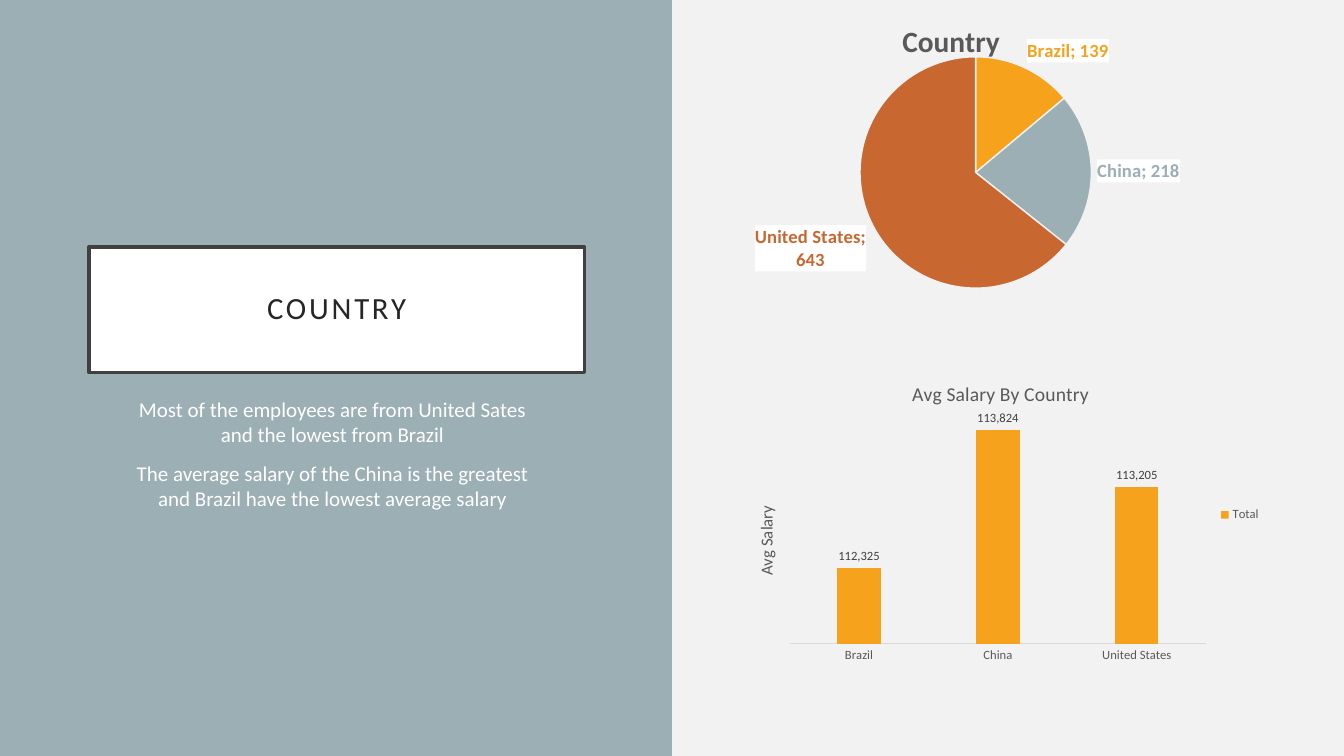
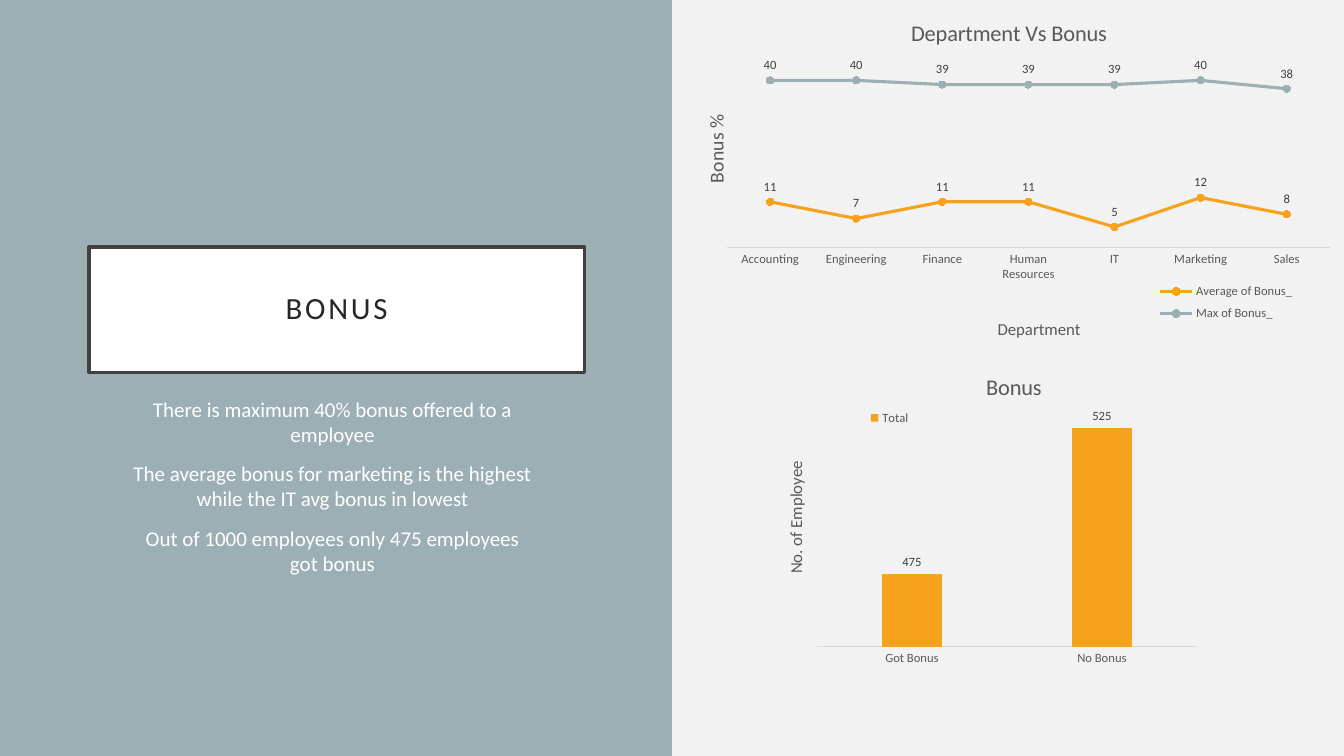
from lxml import etree
from pptx import Presentation
from pptx.chart.data import CategoryChartData
from pptx.dml.color import RGBColor
from pptx.enum.chart import (XL_CHART_TYPE, XL_LABEL_POSITION,
                             XL_LEGEND_POSITION, XL_MARKER_STYLE, XL_TICK_MARK)
from pptx.enum.shapes import MSO_SHAPE
from pptx.enum.text import MSO_ANCHOR, PP_ALIGN
from pptx.oxml import parse_xml
from pptx.oxml.ns import nsdecls, qn
from pptx.util import Pt

PIE = XL_CHART_TYPE.PIE
COLUMN = XL_CHART_TYPE.COLUMN_CLUSTERED
LINE = XL_CHART_TYPE.LINE_MARKERS
OUTSIDE = XL_LABEL_POSITION.OUTSIDE_END
ABOVE = XL_LABEL_POSITION.ABOVE
LEGEND_RIGHT = XL_LEGEND_POSITION.RIGHT
CIRCLE = XL_MARKER_STYLE.CIRCLE
NO_TICK = XL_TICK_MARK.NONE
RECTANGLE = MSO_SHAPE.RECTANGLE
MIDDLE = MSO_ANCHOR.MIDDLE
CENTER = PP_ALIGN.CENTER

FONT = "Calibri"
COLORS = {
    "background": "F2F2F2",
    "band": "9BAFB5",
    "white": "FFFFFF",
    "frame": "404040",
    "title": "262626",
    "chart_text": "595959",
    "label": "404040",
    "axis": "D9D9D9",
    "orange": "F6A21D",
    "gray": "9BAFB5",
    "rust": "C96731",
}
SERIES_COLORS = ["orange", "gray", "rust"]


def rgb(name):
    return RGBColor.from_string(COLORS[name])


def paint(fill, name):
    fill.solid()
    fill.fore_color.rgb = rgb(name)


def style_font(font, size, color, bold=False):
    font.name = FONT
    font.size = Pt(size)
    font.bold = bold
    font.color.rgb = rgb(color)


def add_rectangle(page, left, top, width, height, color):
    box = page.shapes.add_shape(RECTANGLE, Pt(left), Pt(top), Pt(width), Pt(height))
    box.shadow.inherit = False
    paint(box.fill, color)
    box.line.fill.background()
    return box


def add_title(page, text):
    box = add_rectangle(page, 63.5, 176.5, 354, 89.5, "white")
    box.line.color.rgb = rgb("frame")
    box.line.width = Pt(2.5)
    frame = box.text_frame
    frame.vertical_anchor = MIDDLE
    para = frame.paragraphs[0]
    para.text = text
    para.alignment = CENTER
    para.line_spacing = 0.9
    style_font(para.font, 22, "title")
    para._p.get_or_add_pPr().get_or_add_defRPr().set("spc", "200")


def add_body(page, texts):
    box = page.shapes.add_textbox(Pt(88), Pt(279.5), Pt(299), Pt(173))
    frame = box.text_frame
    frame.word_wrap = True
    for index, text in enumerate(texts):
        para = frame.add_paragraph() if index else frame.paragraphs[0]
        para.text = text
        para.alignment = CENTER
        para.space_before = Pt(10)
        style_font(para.font, 15, "white")


def add_page(deck, title, texts):
    page = deck.slides.add_slide(deck.slide_layouts[6])
    add_rectangle(page, 0, 0, 480, 540, "band")
    add_title(page, title)
    add_body(page, texts)
    return page


def place(element, position, index=1, inner=False):
    for old in element.findall(qn("c:layout")):
        element.remove(old)
    layout = parse_xml(f"<c:layout {nsdecls('c')}/>")
    manual = etree.SubElement(layout, qn("c:manualLayout"))
    settings = [("layoutTarget", "inner")] if inner else []
    settings += [("xMode", "edge"), ("yMode", "edge")]
    settings += zip("xywh", position)
    for name, value in settings:
        etree.SubElement(manual, qn(f"c:{name}")).set("val", str(value))
    element.insert(index, layout)


def add_chart(page, kind, box, categories, series, plot_position):
    data = CategoryChartData()
    data.categories = categories
    for name, values in series:
        data.add_series(name, values)
    chart = page.shapes.add_chart(kind, *map(Pt, box), data).chart
    chart.font.name = FONT
    chart.font.size = Pt(10)
    chart.has_legend = False
    chart.plots[0].vary_by_categories = kind == PIE
    plot_area = chart._chartSpace.chart.plotArea
    place(plot_area, plot_position, index=0, inner=True)
    return chart


def set_caption(caption, text, size, position=None, bold=False, upright=False):
    frame = caption.text_frame
    frame.text = text
    style_font(frame.paragraphs[0].font, size, "chart_text", bold)
    if upright:
        body = frame._txBody.bodyPr
        body.set("rot", "-5400000")
        body.set("vert", "horz")
    if position:
        place(caption._element, position)


def set_legend(chart, position=None):
    chart.has_legend = True
    legend = chart.legend
    legend.position = LEGEND_RIGHT
    legend.include_in_layout = False
    style_font(legend.font, 9, "chart_text")
    if position:
        place(legend._element, position)


def set_axes(chart, low, high, caption, size, position):
    axis = chart.category_axis
    axis.has_major_gridlines = False
    axis.major_tick_mark = axis.minor_tick_mark = NO_TICK
    axis.format.line.color.rgb = rgb("axis")
    axis.format.line.width = Pt(0.75)
    style_font(axis.tick_labels.font, 9, "chart_text")
    scale = chart.value_axis
    scale.minimum_scale = low
    scale.maximum_scale = high
    scale.has_major_gridlines = False
    scale.visible = False
    set_caption(scale.axis_title, caption, size, position, upright=True)


def set_labels(series, position):
    labels = series.data_labels
    labels.show_value = True
    labels.position = position
    labels.number_format = "#,##0"
    labels.number_format_is_linked = False
    style_font(labels.font, 9, "label")


def color_columns(chart):
    plot = chart.plots[0]
    plot.gap_width = 219
    plot.overlap = -27
    series = plot.series[0]
    paint(series.format.fill, "orange")
    set_labels(series, OUTSIDE)


def color_lines(chart):
    for series, color in zip(chart.plots[0].series, SERIES_COLORS):
        series.smooth = False
        series.format.line.color.rgb = rgb(color)
        series.format.line.width = Pt(2.25)
        marker = series.marker
        marker.style = CIRCLE
        marker.size = 5
        paint(marker.format.fill, color)
        marker.format.line.color.rgb = rgb(color)
        set_labels(series, ABOVE)


def color_slices(chart):
    series = chart.plots[0].series[0]
    for index, color in enumerate(SERIES_COLORS):
        point = series.points[index]
        paint(point.format.fill, color)
        point.format.line.color.rgb = rgb("background")
        point.format.line.width = Pt(1)
        label = point.data_label
        style_font(label.font, 13.3, color, bold=True)
        label.position = OUTSIDE
        element = series._element.find(qn("c:dLbls")).findall(qn("c:dLbl"))[index]
        element.find(qn("c:showCatName")).set("val", "1")
        etree.SubElement(element, qn("c:separator")).text = "; "
        element.find(qn("c:txPr")).addprevious(parse_xml(
            f"<c:spPr {nsdecls('c', 'a')}><a:solidFill>"
            f"<a:srgbClr val=\"{COLORS['white']}\"/></a:solidFill></c:spPr>"))


def build_country(deck):
    page = add_page(deck, "COUNTRY", [
        "Most of the employees are from United Sates and the lowest from Brazil",
        "The average salary of the China is the greatest and Brazil have the "
        "lowest average salary",
    ])
    countries = ["Brazil", "China", "United States"]

    pie = add_chart(page, PIE, (480, 0, 480, 219.5), countries,
                    [("Series 1", (139, 218, 643))], (0.24, 0.185, 0.424, 0.753))
    set_caption(pie.chart_title, "Country", 21, (0.335, 0.05), bold=True)
    color_slices(pie)

    salary = add_chart(page, COLUMN, (521.5, 258, 386.5, 219.5), countries,
                       [("Total", (112325, 113824, 113205))],
                       (0.11, 0.17, 0.77, 0.75))
    set_caption(salary.chart_title, "Avg Salary By Country", 14, (0.33, 0.05))
    set_axes(salary, 111500, 114000, "Avg Salary", 12, (0.04, 0.46))
    set_legend(salary)
    color_columns(salary)


def build_bonus(deck):
    page = add_page(deck, "BONUS", [
        "There is maximum 40% bonus offered to a employee",
        "The average bonus for marketing is the highest while the IT avg bonus "
        "in lowest",
        "Out of 1000 employees only 475 employees got bonus",
    ])
    departments = ["Accounting", "Engineering", "Finance", "Human Resources",
                   "IT", "Marketing", "Sales"]

    trend = add_chart(page, LINE, (480, 0, 480, 247), departments,
                      [("Average of Bonus_", (11, 7, 11, 11, 5, 12, 8)),
                       ("Max of Bonus_", (40, 40, 39, 39, 39, 40, 38))],
                      (0.082, 0.172, 0.897, 0.545))
    set_caption(trend.chart_title, "Department Vs Bonus", 16, (0.35, 0.04))
    set_axes(trend, 0, 45, "Bonus %", 14, (0.04, 0.32))
    set_caption(trend.category_axis.axis_title, "Department", 12, (0.48, 0.91))
    set_legend(trend, (0.715, 0.8, 0.22, 0.15))
    color_lines(trend)

    takers = add_chart(page, COLUMN, (542, 251.5, 358.5, 229),
                       ["Got Bonus", "No Bonus"], [("Total", (475, 525))],
                       (0.116, 0.19, 0.757, 0.73))
    set_caption(takers.chart_title, "Bonus", 16, (0.445, 0.05))
    set_axes(takers, 450, 530, "No. of Employee", 12, (0.045, 0.33))
    set_legend(takers, (0.215, 0.17))
    color_columns(takers)


def main():
    deck = Presentation()
    deck.slide_width = Pt(960)
    deck.slide_height = Pt(540)
    paint(deck.slide_master.background.fill, "background")
    build_country(deck)
    build_bonus(deck)
    deck.save("out.pptx")


if __name__ == "__main__":
    main()
